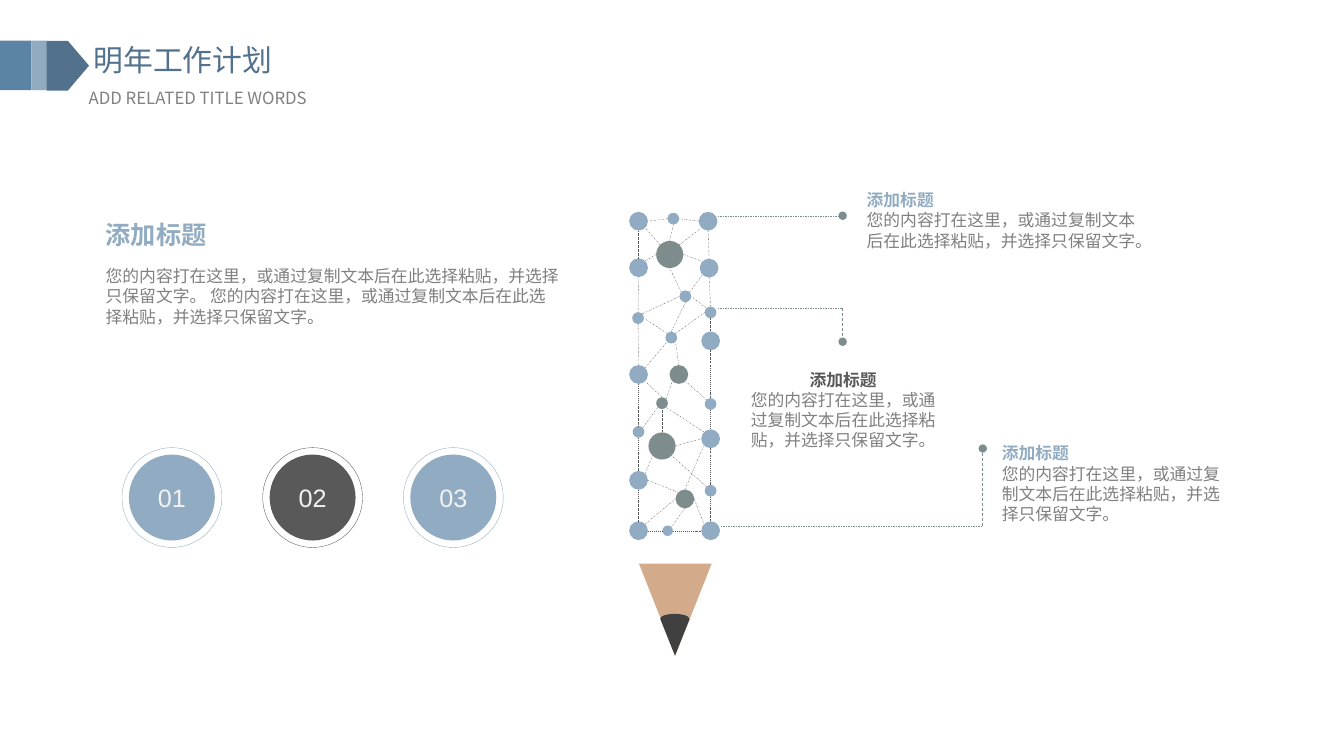
from itertools import pairwise
from math import sqrt

from lxml.etree import SubElement
from pptx import Presentation
from pptx.dml.color import RGBColor as RGB
from pptx.enum.dml import MSO_LINE as DASH
from pptx.enum.shapes import MSO_CONNECTOR as CONN, MSO_SHAPE as SHAPE
from pptx.enum.text import MSO_ANCHOR as ANCHOR, PP_ALIGN as ALIGN
from pptx.oxml.ns import qn
from pptx.util import Pt

THEME = {
    "navy": RGB.from_string("51718D"), "steel": RGB.from_string("5B83A4"),
    "mist": RGB.from_string("91AAC0"), "blue": RGB.from_string("91ACC2"),
    "gray": RGB.from_string("7F8C8D"), "dark": RGB.from_string("595959"),
    "body": RGB.from_string("808080"), "wood": RGB.from_string("D3AB8B"),
    "lead": RGB.from_string("404040"), "pale": RGB.from_string("F2F2F2"),
    "title": 21.3, "heading": 18, "text": 12,
    "latin": "Arial", "cjk": "Noto Sans CJK SC",
}

prs = Presentation()
prs.slide_width, prs.slide_height = Pt(960), Pt(540)
slide = prs.slides.add_slide(prs.slide_layouts[6])
shapes = slide.shapes


def add_text(box, paragraphs, align=ALIGN.LEFT, font=THEME["latin"]):
    sp = shapes.add_textbox(*map(Pt, box))
    tf = sp.text_frame
    tf.word_wrap = True
    tf.margin_top = Pt(3.6 + 0.09 * paragraphs[0][1])
    for i, (text, size, color, bold, after) in enumerate(paragraphs):
        p = tf.add_paragraph() if i else tf.paragraphs[0]
        p.alignment = align
        p.line_spacing = Pt(1.2 * size)
        p.space_after = Pt(after)
        r = p.add_run()
        r.text = text
        r.font.size, r.font.bold = Pt(size), bold
        r.font.color.rgb = THEME[color]
        r.font.name = font
        SubElement(r.font._element, qn("a:ea"), typeface=THEME["cjk"])


def add_line(start, end, color, width, dash, dot=False):
    c = shapes.add_connector(CONN.STRAIGHT, *map(Pt, (*start, *end)))
    c.line.color.rgb = THEME[color]
    c.line.width = Pt(width)
    c.line.dash_style = dash
    spPr = c.element.spPr
    if dot:
        SubElement(spPr.find(qn("a:ln")), qn("a:tailEnd"), type="oval")
    SubElement(spPr, qn("a:effectLst"))


add_text((59.8, 24.5, 193, 33.1), [("明年工作计划", THEME["title"], "navy", False, 0)],
         ALIGN.JUSTIFY, THEME["cjk"])
add_text((56.2, 58.3, 213.8, 21.6),
         [("ADD RELATED TITLE WORDS", THEME["text"], "body", False, 0)],
         ALIGN.JUSTIFY, THEME["cjk"])

nodes = {
    "l1": (456.1, 158, 13.4, "blue"), "l2": (456.1, 191.2, 13.4, "blue"),
    "l3": (455.8, 227.2, 8.4, "blue"), "l4": (456.1, 267.5, 13.4, "blue"),
    "l5": (456.1, 308.5, 8.4, "blue"), "l6": (456.1, 343.1, 13.4, "blue"),
    "l7": (456.1, 379.1, 13.4, "blue"), "bottom": (476.9, 379.1, 7.5, "blue"),
    "r8": (507.6, 379.1, 13.4, "blue"), "r7": (507.6, 350.6, 8.4, "blue"),
    "r6": (507.6, 313.4, 13.4, "blue"), "r5": (507.6, 288.6, 8.4, "blue"),
    "r4": (507.6, 243.5, 13.4, "blue"), "r3": (507.6, 223.2, 8.4, "blue"),
    "r2": (506.5, 191.5, 13.4, "blue"), "r1": (505.8, 158, 13.4, "blue"),
    "top": (481, 156.2, 8.4, "blue"),
    "m1": (478.4, 181.8, 19.4, "gray"), "m2": (489.6, 211.7, 8.4, "blue"),
    "m3": (479.5, 241.2, 8.4, "blue"), "m4": (484.9, 267.5, 13.4, "gray"),
    "m5": (472.9, 288, 8.4, "gray"), "m6": (472.9, 318.6, 19.4, "gray"),
    "m7": (489.2, 356.4, 13.4, "gray"),
}

filled = [
    (SHAPE.RECTANGLE, (0, 29, 22.4, 35.5), "steel", 0),
    (SHAPE.RECTANGLE, (22.4, 29, 11.2, 35.5), "mist", 0),
    (SHAPE.PENTAGON, (33.4, 29.2, 30.2, 35.5), "navy", 0),
    (SHAPE.ISOSCELES_TRIANGLE, (456.4, 402.6, 51.9, 65.6), "wood", 180),
    (SHAPE.ISOSCELES_TRIANGLE, (471.6, 442.1, 21, 26.3), "lead", 180),
    (SHAPE.OVAL, (471.8, 438.5, 20.4, 6.6), "lead", 0),
]
for x, y, d, color in nodes.values():
    filled.append((SHAPE.OVAL, (x - d / 2, y - d / 2, d, d), color, 0))
for kind, box, color, turn in filled:
    s = shapes.add_shape(kind, *map(Pt, box))
    s.shadow.inherit = False
    s.fill.solid()
    s.fill.fore_color.rgb = THEME[color]
    s.line.fill.background()
    s.rotation = turn

k = sqrt(0.5)
compass = {"n": (0, -1), "s": (0, 1), "w": (-1, 0), "e": (1, 0),
           "nw": (-k, -k), "ne": (k, -k), "sw": (-k, k), "se": (k, k)}
links = [f"{a} s {b} n" for side, last in (("l", 7), ("r", 8))
         for a, b in pairwise(f"{side}{i}" for i in range(1, last + 1))]
links += [
    "l7 e bottom w", "bottom e r8 w", "r1 w top e", "top w l1 e",
    "l7 ne m7 w", "m7 e r8 nw", "m7 s bottom ne", "m7 nw l6 e",
    "l6 ne m6 sw", "m6 e r6 w", "r7 nw m6 se", "m7 n r6 sw",
    "r6 nw m5 se", "l5 ne m5 sw", "m5 ne m4 sw", "r5 nw m4 se",
    "m6 n m5 s", "m5 n l4 se", "l4 ne m3 sw", "m3 nw l3 e",
    "l3 ne m2 w", "m3 n m2 s", "m4 n m3 se", "m3 ne r3 w",
    "r3 nw m2 e", "m2 ne r2 sw", "m2 nw m1 s", "l2 ne m1 w",
    "m1 nw l1 se", "m1 n top s", "m1 ne r1 sw", "m1 e r2 nw",
]
for link in links:
    a, side_a, b, side_b = link.split()
    ends = []
    for name, side in ((a, side_a), (b, side_b)):
        x, y, d, _ = nodes[name]
        dx, dy = compass[side]
        ends.append((x + dx * d / 2, y + dy * d / 2))
    add_line(*ends, "dark", 0.25, DASH.DASH_DOT)

leaders = [
    ((512.6, 154.1), (601.9, 154.1), 0.25, True),
    ((512.6, 220.3), (601.9, 220.3), 0.25, False),
    ((601.9, 220.3), (601.9, 244.1), 0.5, True),
    ((514.8, 375.8), (702, 375.8), 0.25, False),
    ((702, 375.8), (702, 320.4), 0.5, True),
]
for start, end, width, dot in leaders:
    add_line(start, end, "gray", width, DASH.DASH, dot)

heading = "添加标题"
blurb = "您的内容打在这里，或通过复制文本后在此选择粘贴，并选择只保留文字。"
callouts = [
    ((612, 131, 211, 51.1), "blue", ALIGN.LEFT),
    ((528.5, 259.2, 147.6, 65.5), "dark", ALIGN.CENTER),
    ((708.5, 311.8, 179.3, 65.5), "blue", ALIGN.LEFT),
]
for box, color, align in callouts:
    add_text(box, [(heading, THEME["text"], color, True, 0),
                   (blurb, THEME["text"], "body", False, 0)], align)
add_text((68.4, 151.2, 339.1, 85), [
    (heading, THEME["heading"], "blue", True, 12),
    (f"{blurb} {blurb}", THEME["text"], "body", False, 0),
])

for i, color in enumerate(("blue", "dark", "blue")):
    cx, cy = 122.8 + 100.5 * i, 355.4
    for d in (61.4, 71.3):
        s = shapes.add_shape(SHAPE.OVAL, *map(Pt, (cx - d / 2, cy - d / 2, d, d)))
        s.shadow.inherit = False
        if d > 70:
            s.fill.background()
            s.line.color.rgb = THEME[color]
            s.line.width = Pt(0.25)
            continue
        s.fill.solid()
        s.fill.fore_color.rgb = THEME[color]
        s.line.fill.background()
        s.text_frame.vertical_anchor = ANCHOR.MIDDLE
        p = s.text_frame.paragraphs[0]
        p.alignment = ALIGN.CENTER
        r = p.add_run()
        r.text = f"{i + 1:02d}"
        r.font.name, r.font.size = THEME["latin"], Pt(THEME["heading"])
        r.font.color.rgb = THEME["pale"]

prs.save("out.pptx")
